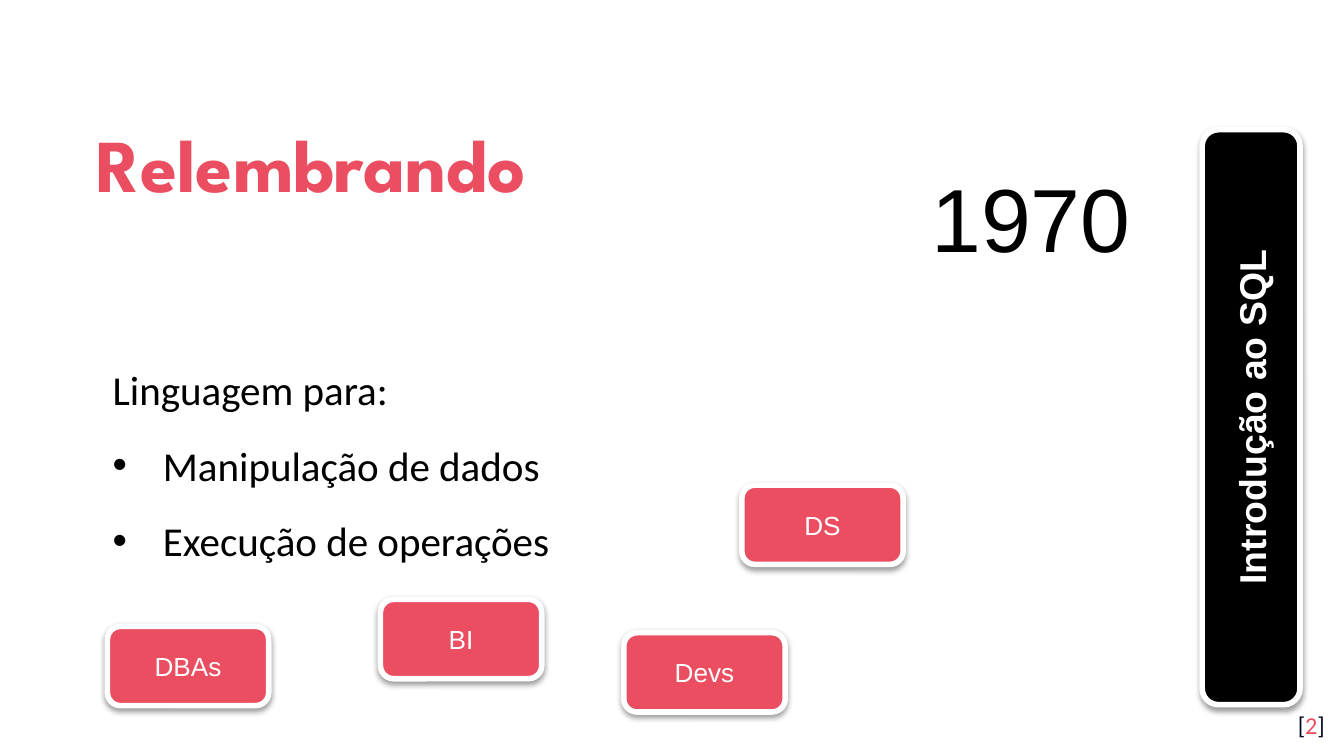
from pptx import Presentation
from pptx.dml.color import RGBColor
from pptx.enum.shapes import MSO_SHAPE as Shape
from pptx.enum.text import MSO_ANCHOR as Anchor, MSO_AUTO_SIZE as AutoSize, PP_ALIGN as Align
from pptx.oxml import parse_xml
from pptx.oxml.ns import nsdecls, qn
from pptx.util import Cm, Pt

CORAL = RGBColor(0xEA, 0x4E, 0x60)
NAVY = RGBColor(0x04, 0x0A, 0x24)
BLACK = RGBColor(0, 0, 0)
WHITE = RGBColor(255, 255, 255)

SHADOW = (
    f'<a:outerShdw {nsdecls("a")} blurRad="40000" dist="20000" dir="5400000" rotWithShape="0">'
    '<a:srgbClr val="000000"><a:alpha val="38000"/></a:srgbClr></a:outerShdw>'
)
CARD_SIZE = (3.05, 1.5)
CARDS = {"DBAs": (2.03, 11.84), "BI": (7.19, 11.33), "Devs": (11.79, 11.96), "DS": (14.02, 9.17)}


def apply(target, values):
    for name, value in values.items():
        setattr(target, name, value)


class SlideBuilder:
    """Hold the text styles and the current slide, and add its elements."""

    title_font = {"name": "League Spartan", "size": Pt(40), "bold": True}
    body_font = {"name": "Calibri", "size": Pt(22)}
    number_font = {"name": "Calibri", "size": Pt(13)}
    year_font = {"name": "Arial", "size": Pt(48)}
    bar_font = {"name": "Arial", "size": Pt(20), "bold": True}
    card_font = {"name": "Arial", "size": Pt(14)}
    roomy = dict.fromkeys(("margin_left", "margin_top", "margin_right", "margin_bottom"), Cm(0.25))
    frame = {"word_wrap": True, "auto_size": AutoSize.NONE}

    def __init__(self, deck):
        self.slide = deck.slides.add_slide(deck.slide_layouts[1])

    def place(self, box, area):
        apply(box, dict(zip(("left", "top", "width", "height"), map(Cm, area))))

    def add_span(self, para, text, font, color):
        span = para.add_run()
        span.text = text
        apply(span.font, font)
        span.font.color.rgb = color

    def title(self, text, area):
        box = self.slide.shapes.title
        self.place(box, area)
        apply(box.text_frame, {**self.frame, **self.roomy, "vertical_anchor": Anchor.MIDDLE})
        para = box.text_frame.paragraphs[0]
        apply(para, {"alignment": Align.LEFT, "line_spacing": 1.15})
        self.add_span(para, text, self.title_font, CORAL)

    def body(self, heading, items, area):
        box = self.slide.placeholders[1]
        self.place(box, area)
        frame = box.text_frame
        apply(frame, {**self.frame, **self.roomy, "vertical_anchor": Anchor.MIDDLE})
        for text in (heading, *items):
            para = frame.paragraphs[0] if text == heading else frame.add_paragraph()
            apply(para, {"alignment": Align.JUSTIFY, "line_spacing": 1.15, "space_before": Pt(10)})
            indent = 0 if text == heading else Cm(0.95)
            props = para._p.get_or_add_pPr()
            props.set("marL", str(indent))
            props.set("indent", str(-indent))
            if not indent:
                props.append(parse_xml(f'<a:buNone {nsdecls("a")}/>'))
            self.add_span(para, text, self.body_font, BLACK)

    def label(self, parts, area, font, align=Align.LEFT, margins=None):
        box = self.slide.shapes.add_textbox(*map(Cm, area))
        apply(box.text_frame, {**self.frame, **(margins or {})})
        para = box.text_frame.paragraphs[0]
        para.alignment = align
        for text, color in parts:
            self.add_span(para, text, font, color)

    def card(self, text, area, font, fill, rotation=0):
        card = self.slide.shapes.add_shape(Shape.ROUNDED_RECTANGLE, *map(Cm, area))
        card.rotation = rotation
        card.fill.solid()
        card.fill.fore_color.rgb = fill
        card.line.color.rgb = WHITE
        card.line.width = Pt(3)
        card.shadow.inherit = False
        card._element.spPr.find(qn("a:effectLst")).append(parse_xml(SHADOW))
        apply(card.text_frame, {**self.frame, "vertical_anchor": Anchor.MIDDLE})
        para = card.text_frame.paragraphs[0]
        para.alignment = Align.CENTER
        self.add_span(para, text, font, WHITE)


def main():
    deck = Presentation()
    apply(deck, {"slide_width": Cm(25.4), "slide_height": Cm(14.29)})
    page = SlideBuilder(deck)
    page.title("Relembrando", (1.57, 1.78, 19.84, 2.34))
    page.label(
        [("[", NAVY), ("2", CORAL), ("]", NAVY)],
        (23.77, 13.18, 1.52, 1.09), page.number_font, Align.RIGHT, page.roomy,
    )
    page.body(
        "Linguagem para:",
        ["Manipulação de dados", "Execução de operações"],
        (1.88, 4.6, 18.82, 8.23),
    )
    page.card("Introdução ao SQL", (18.21, 6.96, 10.87, 1.85), page.bar_font, BLACK, 270)
    page.label([("1970", BLACK)], (17.35, 2.95, 4.39, 2.31), page.year_font)
    for text, corner in CARDS.items():
        page.card(text, corner + CARD_SIZE, page.card_font, CORAL)
    deck.save("out.pptx")


if __name__ == "__main__":
    main()
